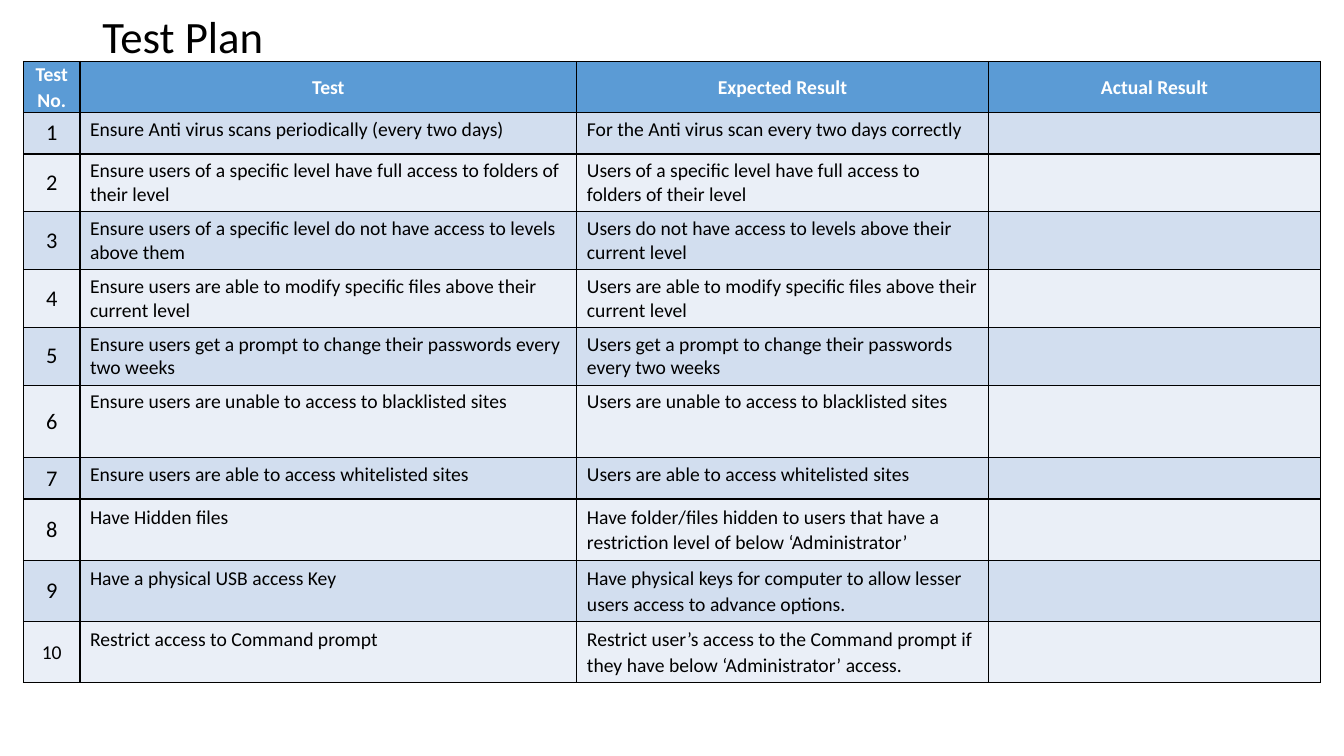
from dataclasses import dataclass

from lxml.etree import SubElement
from pptx import Presentation
from pptx.dml.color import RGBColor
from pptx.enum.text import MSO_ANCHOR as Anchor, PP_ALIGN as Align
from pptx.oxml import parse_xml
from pptx.oxml.ns import nsdecls, qn
from pptx.util import Pt


@dataclass(frozen=True)
class Theme:
    font: str = "Calibri"
    ink: str = "000000"
    header_ink: str = "FFFFFF"
    header_fill: str = "5B9BD5"
    bands: tuple = ("D2DEEF", "EAEFF7")
    title_size: int = 32
    number_size: int = 16
    body_size: int = 14
    border: float = 1


HEADERS = ("Test No.", "Test", "Expected Result", "Actual Result")
TESTS = (
    ("Ensure Anti virus scans periodically (every two days)",
     "For the Anti virus scan every two days correctly"),
    ("Ensure users of a specific level have full access to folders of their level",
     "Users of a specific level have full access to folders of their level"),
    ("Ensure users of a specific level do not have access to levels above them",
     "Users do not have access to levels above their current level"),
    ("Ensure users are able to modify specific files above their current level",
     "Users are able to modify specific files above their current level"),
    ("Ensure users get a prompt to change their passwords every two weeks",
     "Users get a prompt to change their passwords every two weeks"),
    ("Ensure users are unable to access to blacklisted sites",
     "Users are unable to access to blacklisted sites"),
    ("Ensure users are able to access whitelisted sites",
     "Users are able to access whitelisted sites"),
    ("Have Hidden files",
     "Have folder/files hidden to users that have a restriction level of below ‘Administrator’"),
    ("Have a physical USB access Key",
     "Have physical keys for computer to allow lesser users access to advance options."),
    ("Restrict access to Command prompt",
     "Restrict user’s access to the Command prompt if they have below ‘Administrator’ access."),
)
COLUMN_WIDTHS = (40.3, 355, 293.8, 237.6)
ROW_HEIGHT = 29.5
TALL_TEST, TALL_HEIGHT = 6, 51.8
FIRST_SPACED_TEST = 8


class PlanPage:
    def __init__(self, deck, theme):
        self.theme = theme
        self.page = deck.slides.add_slide(deck.slide_layouts[5])

    def style(self, para, size, color, bold=False, align=Align.LEFT, spacing=1.0, after=0):
        para.alignment = align
        para.line_spacing = spacing
        para.space_after = Pt(after)
        for span in para.runs:
            span.font.name = self.theme.font
            span.font.size = Pt(size)
            span.font.bold = bold
            span.font.color.rgb = RGBColor.from_string(color)

    def title(self, text, left, top, width, height):
        box = self.page.shapes.title
        box.left, box.top, box.width, box.height = map(Pt, (left, top, width, height))
        frame = box.text_frame
        frame.text = text
        frame.vertical_anchor = Anchor.MIDDLE
        self.style(frame.paragraphs[0], self.theme.title_size, self.theme.ink, spacing=0.9)

    def outline(self, cell):
        """Draw a solid border on all four sides of a cell."""
        properties = cell._tc.get_or_add_tcPr()
        for index, side in enumerate(("lnL", "lnR", "lnT", "lnB")):
            line = parse_xml(f'<a:{side} {nsdecls("a")} w="{Pt(self.theme.border)}"/>')
            fill = SubElement(line, qn("a:solidFill"))
            SubElement(fill, qn("a:srgbClr"), val=self.theme.ink)
            properties.insert(index, line)

    def cell(self, cell, text, fill, anchor=Anchor.TOP, **style):
        cell.fill.solid()
        cell.fill.fore_color.rgb = RGBColor.from_string(fill)
        self.outline(cell)
        cell.vertical_anchor = anchor
        if text:
            cell.text = text
            self.style(cell.text_frame.paragraphs[0], **style)

    def header(self, row):
        for cell, text in zip(row.cells, HEADERS):
            cell.margin_left = cell.margin_right = Pt(5)
            cell.margin_top = cell.margin_bottom = 0
            self.cell(cell, text, self.theme.header_fill, Anchor.MIDDLE,
                      size=self.theme.body_size, color=self.theme.header_ink,
                      bold=True, align=Align.CENTER, spacing=1.07)

    def test(self, row, number, texts):
        theme = self.theme
        fill = theme.bands[(number - 1) % 2]
        spaced = {"spacing": 1.07, "after": 8}
        last = number == len(TESTS)
        self.cell(row.cells[0], str(number), fill, Anchor.MIDDLE,
                  size=theme.body_size if last else theme.number_size,
                  color=theme.ink, align=Align.CENTER, **(spaced if last else {}))
        body = spaced if number >= FIRST_SPACED_TEST else {}
        for column, text in enumerate((*texts, ""), start=1):
            self.cell(row.cells[column], text, fill,
                      size=theme.body_size, color=theme.ink, **body)

    def table(self, left, top):
        count = len(TESTS) + 1
        table = self.page.shapes.add_table(
            count, len(HEADERS), Pt(left), Pt(top),
            Pt(sum(COLUMN_WIDTHS)), Pt(count * ROW_HEIGHT)).table
        for column, width in zip(table.columns, COLUMN_WIDTHS):
            column.width = Pt(width)
        for number, row in enumerate(table.rows):
            row.height = Pt(TALL_HEIGHT if number == TALL_TEST else ROW_HEIGHT)
            if number == 0:
                self.header(row)
            else:
                self.test(row, number, TESTS[number - 1])


def main():
    deck = Presentation()
    deck.slide_width, deck.slide_height = Pt(960), Pt(540)
    plan = PlanPage(deck, Theme())
    plan.title("Test Plan", 66, 0, 828, 55.5)
    plan.table(16.8, 44)
    deck.save("out.pptx")


if __name__ == "__main__":
    main()
